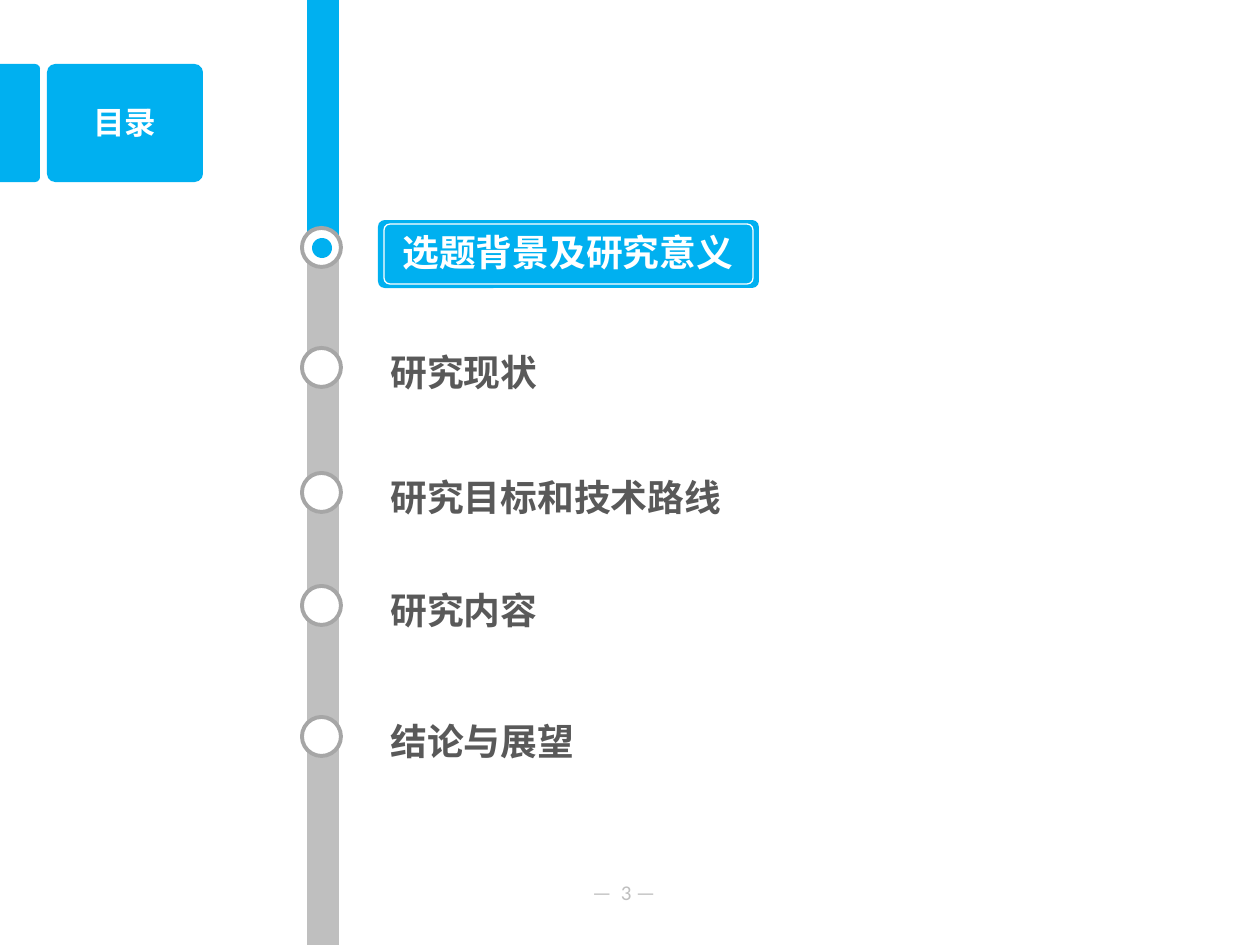
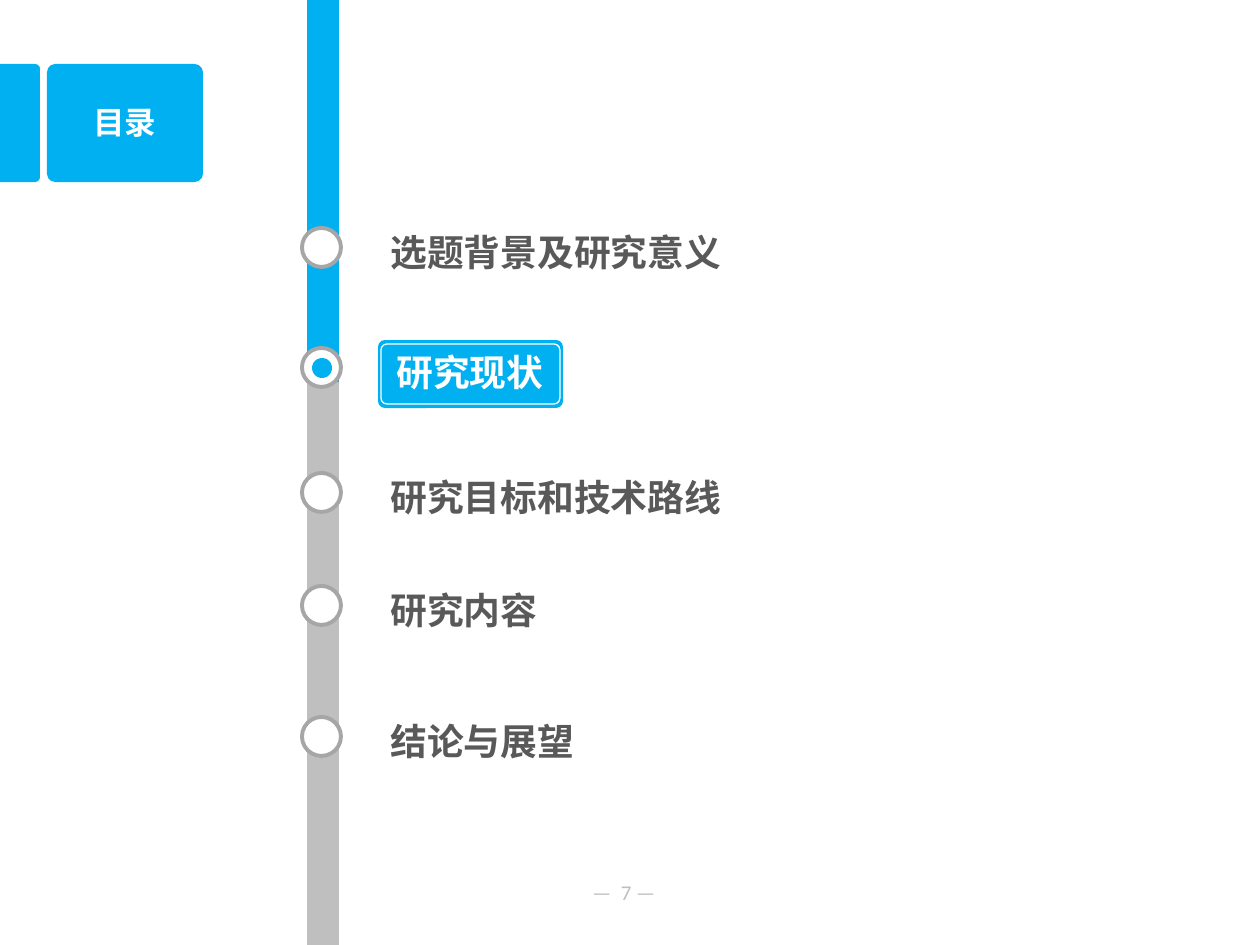
from lxml import etree
from pptx import Presentation
from pptx.dml.color import RGBColor
from pptx.enum.shapes import MSO_SHAPE
from pptx.enum.text import MSO_ANCHOR, PP_ALIGN
from pptx.oxml.ns import qn
from pptx.util import Emu, Inches, Pt

RECTANGLE = MSO_SHAPE.RECTANGLE
ROUNDED = MSO_SHAPE.ROUNDED_RECTANGLE
ROUNDED_TOP = MSO_SHAPE.ROUND_2_SAME_RECTANGLE
OVAL = MSO_SHAPE.OVAL
TOP = MSO_ANCHOR.TOP
LEFT, CENTER = PP_ALIGN.LEFT, PP_ALIGN.CENTER

BLUE = RGBColor(0x00, 0xB0, 0xF0)
WHITE = RGBColor(0xFF, 0xFF, 0xFF)
TRACK_GREY = RGBColor(0xBF, 0xBF, 0xBF)
RING_GREY = RGBColor(0xA6, 0xA6, 0xA6)
TEXT_GREY = RGBColor(0x59, 0x59, 0x59)

LATIN_FONT = "Calibri"
CHINESE_FONT = "Noto Sans CJK JP"

EMU_PER_PX = Inches(1) / 126
SLIDE_WIDTH, SLIDE_HEIGHT = 1260, 945
TITLE_ONLY = 5

TRACK_LEFT, TRACK_WIDTH = 307, 32
RING_LEFT, RING_SIZE, DOT_SIZE = 302, 39, 20
ENTRY_LEFT, ENTRY_WIDTH, ENTRY_HEIGHT = 378, 403, 57
TAG_HEIGHT, TAG_RIM = 68, 4

# Each entry of the contents with the top of its text
ENTRIES = [
    ("选题背景及研究意义", 224),
    ("研究现状", 344),
    ("研究目标和技术路线", 469),
    ("研究内容", 582),
    ("结论与展望", 713),
]


def px(length):
    return Emu(round(length * EMU_PER_PX))


def add_block(slide, kind, box, fill, line=None, line_width=0, rounding=None):
    """Add a preset shape; box is left, top, width and height in px."""
    shape = slide.shapes.add_shape(kind, *map(px, box))
    shape.shadow.inherit = False
    shape.fill.solid()
    shape.fill.fore_color.rgb = fill
    if line is None:
        shape.line.fill.background()
    else:
        shape.line.color.rgb = line
        shape.line.width = Pt(line_width)
    if rounding is not None:
        shape.adjustments[0] = rounding
    return shape


def write(shape, text, size, color, font_name, bold=True, alignment=LEFT):
    frame = shape.text_frame
    frame.word_wrap = True
    frame.vertical_anchor = TOP
    frame.text = text
    paragraph = frame.paragraphs[0]
    paragraph.alignment = alignment
    font = paragraph.font
    font.name, font.size, font.bold = font_name, Pt(size), bold
    font.color.rgb = color
    properties = paragraph._p.pPr.find(qn("a:defRPr"))
    etree.SubElement(properties, qn("a:ea"), typeface=CHINESE_FONT)


def add_text(slide, box, text, size, color, font_name, bold=True):
    shape = slide.shapes.add_textbox(*map(px, box))
    write(shape, text, size, color, font_name, bold)


def add_title(slide, text):
    """Draw the blue tab and tile, with the title in front of them."""
    tab = add_block(slide, ROUNDED_TOP, (-39, 103, 118, 40), BLUE, rounding=0.12)
    tab.rotation = 90
    add_block(slide, ROUNDED, (47, 64, 156, 118), BLUE, rounding=0.07)
    title = slide.shapes.title
    title.left, title.top, title.width, title.height = map(px, (47, 97, 156, 50))
    write(title, text, 18, WHITE, LATIN_FONT, alignment=CENTER)
    title.element.getparent().append(title.element)


def add_track(slide, progress):
    add_block(slide, RECTANGLE, (TRACK_LEFT, 0, TRACK_WIDTH, SLIDE_HEIGHT), TRACK_GREY)
    add_block(slide, RECTANGLE, (TRACK_LEFT, 0, TRACK_WIDTH, progress), BLUE)


def add_marker(slide, top, is_current):
    add_block(slide, OVAL, (RING_LEFT, top, RING_SIZE, RING_SIZE), WHITE, RING_GREY, 2.25)
    if is_current:
        inset = (RING_SIZE - DOT_SIZE) // 2 + 1
        add_block(slide, OVAL, (RING_LEFT + inset, top + inset, DOT_SIZE, DOT_SIZE), BLUE)


def add_tag(slide, top, width, inset):
    """Draw the blue label with a thin white frame inside it."""
    outer = (ENTRY_LEFT, top - TAG_RIM, width, TAG_HEIGHT)
    frame = (ENTRY_LEFT + inset, top, width - 2 * inset, TAG_HEIGHT - 2 * TAG_RIM)
    add_block(slide, ROUNDED, outer, BLUE, rounding=0.1)
    add_block(slide, ROUNDED, frame, BLUE, WHITE, 0.75, rounding=0.1)


def add_contents_slide(presentation, page, current, progress, tag_width, tag_inset):
    slide = presentation.slides.add_slide(presentation.slide_layouts[TITLE_ONLY])
    add_title(slide, "目录")
    add_track(slide, progress)
    add_text(slide, (580, 873, 108, 38), f"—  {page} —", 12, TRACK_GREY, LATIN_FONT, bold=False)
    for index, (text, top) in enumerate(ENTRIES):
        is_current = index == current
        left, color = ENTRY_LEFT, TEXT_GREY
        add_marker(slide, top + 4, is_current)
        if is_current:
            add_tag(slide, top, tag_width, tag_inset)
            left, color = ENTRY_LEFT + 2 * tag_inset, WHITE
        add_text(slide, (left, top, ENTRY_WIDTH, ENTRY_HEIGHT), text, 21, color, CHINESE_FONT)


def main():
    presentation = Presentation()
    presentation.slide_width = px(SLIDE_WIDTH)
    presentation.slide_height = px(SLIDE_HEIGHT)
    add_contents_slide(presentation, page=3, current=0, progress=248, tag_width=381, tag_inset=6)
    add_contents_slide(presentation, page=7, current=1, progress=382, tag_width=185, tag_inset=3)
    presentation.save("out.pptx")


if __name__ == "__main__":
    main()
